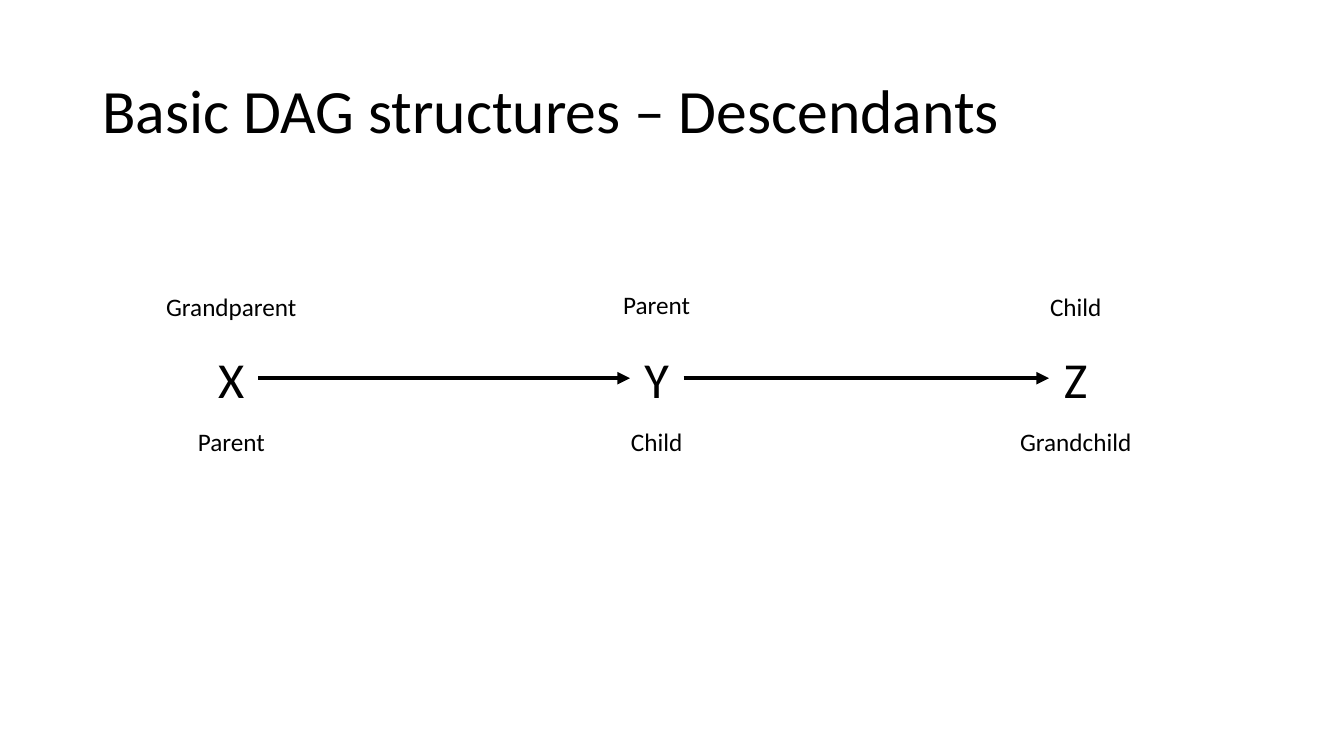
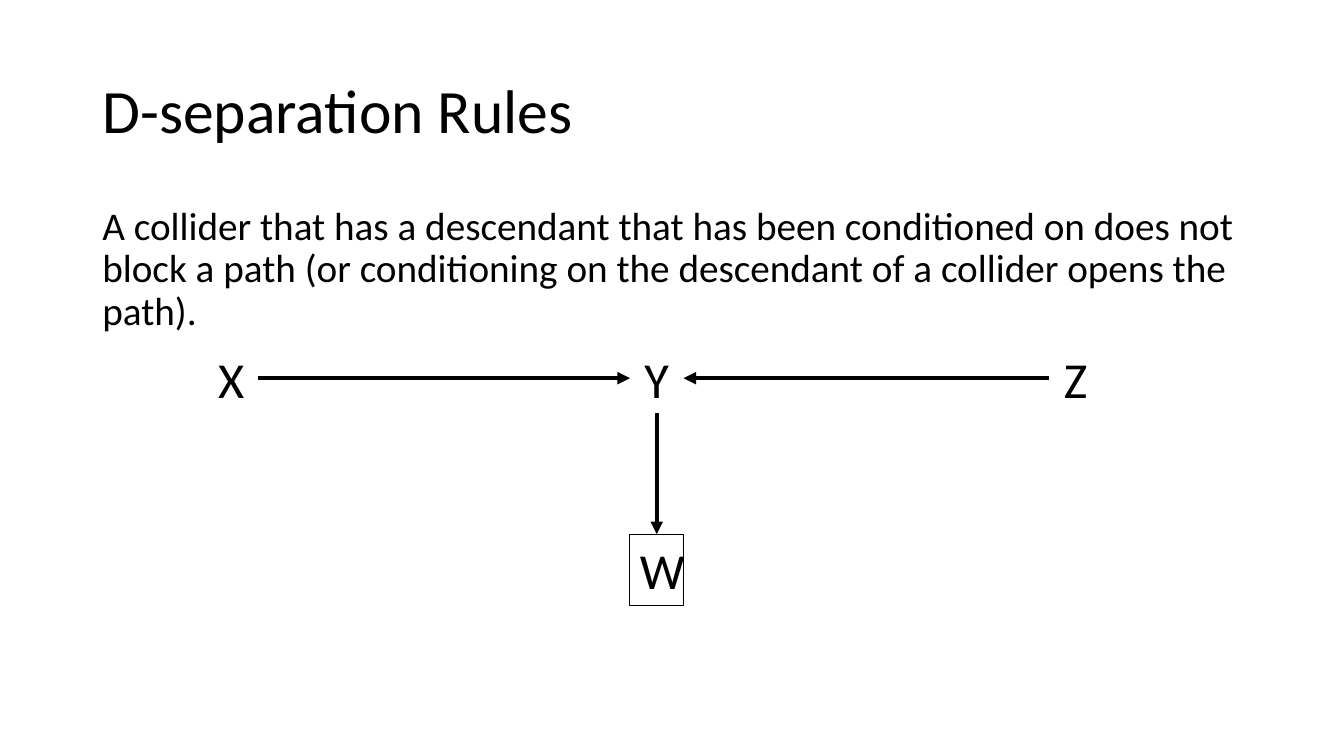
from pptx import Presentation
from pptx.dml.color import RGBColor
from pptx.enum.shapes import MSO_CONNECTOR as Link
from pptx.enum.text import MSO_ANCHOR as Anchor, MSO_AUTO_SIZE as Fit, PP_ALIGN as Align
from pptx.oxml.ns import qn
from pptx.util import Cm, Pt
from lxml.etree import SubElement as Sub

BLACK = RGBColor(0x00, 0x00, 0x00)
FONT = "Calibri"
LEFT, WIDE = 2.33, 29.21
NODE_W, NODE_H = 1.35, 1.8
HALF = NODE_W / 2
LABEL_W, LABEL_H = 4, 1.02
X, Y, Z = 5.83, 16.55, 27.11
ROW, AXIS, LOW = 8.64, 9.53, 13.46


def add_text(slide, box, text, size, align=Align.LEFT, anchor=Anchor.TOP, space=None):
    """Add a wrapped text box with one run and return it."""
    shape = slide.shapes.add_textbox(*(Cm(v) for v in box))
    frame = shape.text_frame
    frame.word_wrap = True
    frame.vertical_anchor = anchor
    para = frame.paragraphs[0]
    para.alignment = align
    para.line_spacing = space
    run = para.add_run()
    run.text = text
    run.font.name = FONT
    run.font.size = Pt(size)
    run.font.color.rgb = BLACK
    return shape


def add_title(slide, text):
    """Add the slide title."""
    add_text(slide, (LEFT, 1.01, WIDE, 3.68), text, 44, anchor=Anchor.MIDDLE, space=0.9)


def add_node(slide, name, mid, top=ROW, framed=False):
    """Add a graph node, framed when it is conditioned on."""
    box = (mid - HALF, top, NODE_W, NODE_H)
    node = add_text(slide, box, name, 36, Align.CENTER)
    node.text_frame.auto_size = Fit.SHAPE_TO_FIT_TEXT
    if framed:
        node.line.color.rgb = BLACK
        node.line.width = Pt(0.75)


def add_label(slide, text, mid, top):
    """Add a small label centred on a node."""
    add_text(slide, (mid - LABEL_W / 2, top, LABEL_W, LABEL_H), text, 18, Align.CENTER)


def add_arrow(slide, start, end):
    """Add an arrow between two points."""
    ends = (Cm(v) for v in (*start, *end))
    arrow = slide.shapes.add_connector(Link.STRAIGHT, *ends)
    arrow.line.color.rgb = BLACK
    arrow.line.width = Pt(3)
    Sub(arrow.line._get_or_add_ln(), qn("a:tailEnd"), type="triangle")
    Sub(arrow._element.spPr, qn("a:effectLst"))


def add_chain(slide, collide=False):
    """Add X, Y and Z with arrows, both into Y for a collider."""
    for name, mid in zip("XYZ", (X, Y, Z)):
        add_node(slide, name, mid)
    add_arrow(slide, (X + HALF, AXIS), (Y - HALF, AXIS))
    ends = [(Y + HALF, AXIS), (Z - HALF, AXIS)]
    add_arrow(slide, *(reversed(ends) if collide else ends))


def add_kin(slide):
    """Build the slide on descendants."""
    add_title(slide, "Basic DAG structures – Descendants")
    add_chain(slide)
    for mid, top, upper, lower in (
        (X, 7.21, "Grandparent", "Parent"),
        (Y, 7.16, "Parent", "Child"),
        (Z, 7.21, "Child", "Grandchild"),
    ):
        add_label(slide, upper, mid, top)
        add_label(slide, lower, mid, 10.62)


def add_rules(slide):
    """Build the slide on d-separation."""
    add_title(slide, "D-separation Rules")
    rule = (
        "A collider that has a descendant that has been conditioned on does not "
        "block a path (or conditioning on the descendant of a collider opens the path)."
    )
    add_text(slide, (LEFT, 5.08, WIDE, 12.09), rule, 28, space=0.9)
    add_chain(slide, collide=True)
    add_node(slide, "W", Y, LOW, framed=True)
    add_arrow(slide, (Y, 10.41), (Y, LOW))


def main():
    """Build and save the deck."""
    deck = Presentation()
    deck.slide_width, deck.slide_height = Cm(33.87), Cm(19.05)
    for build in (add_kin, add_rules):
        build(deck.slides.add_slide(deck.slide_layouts[6]))
    deck.save("out.pptx")


if __name__ == "__main__":
    main()
